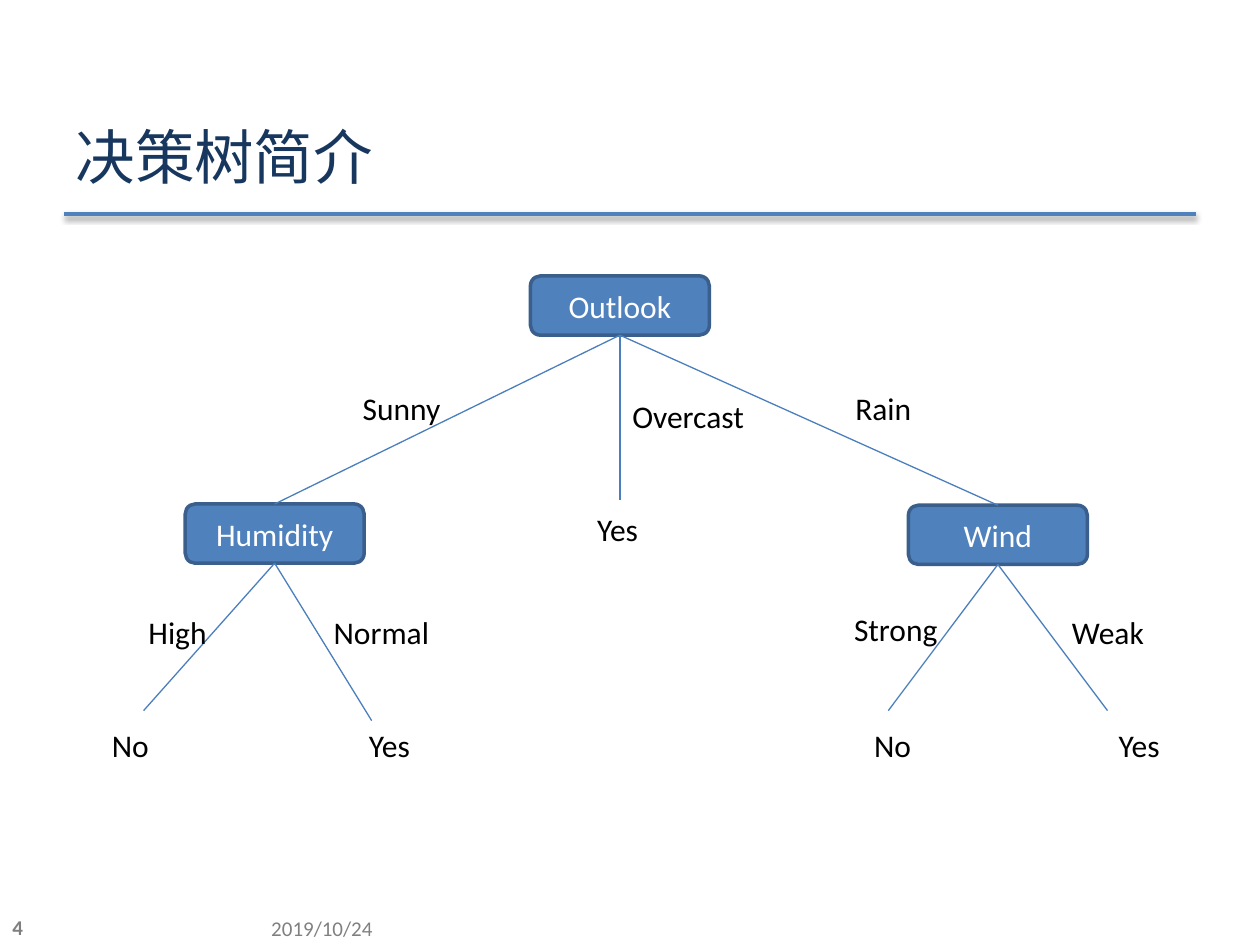
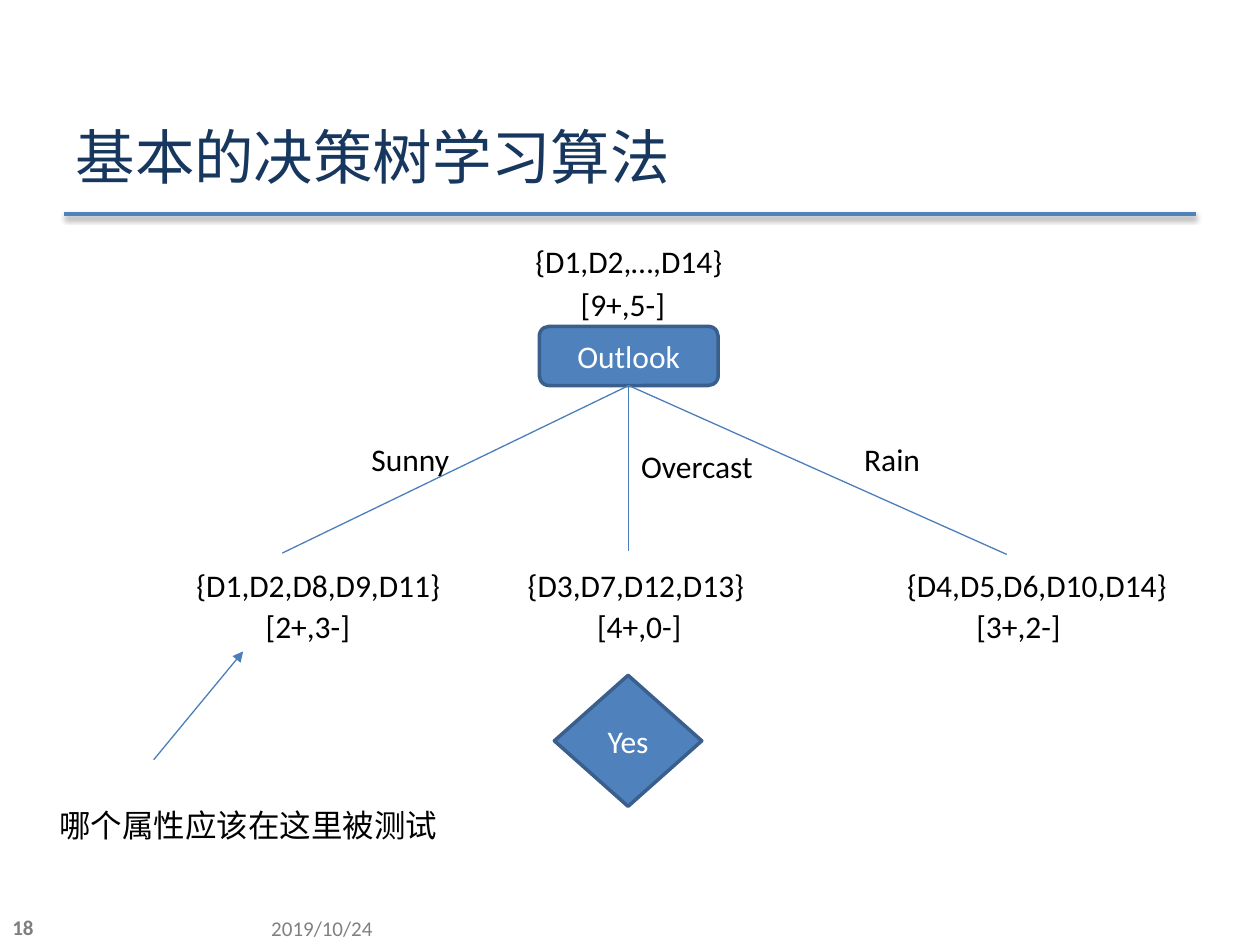
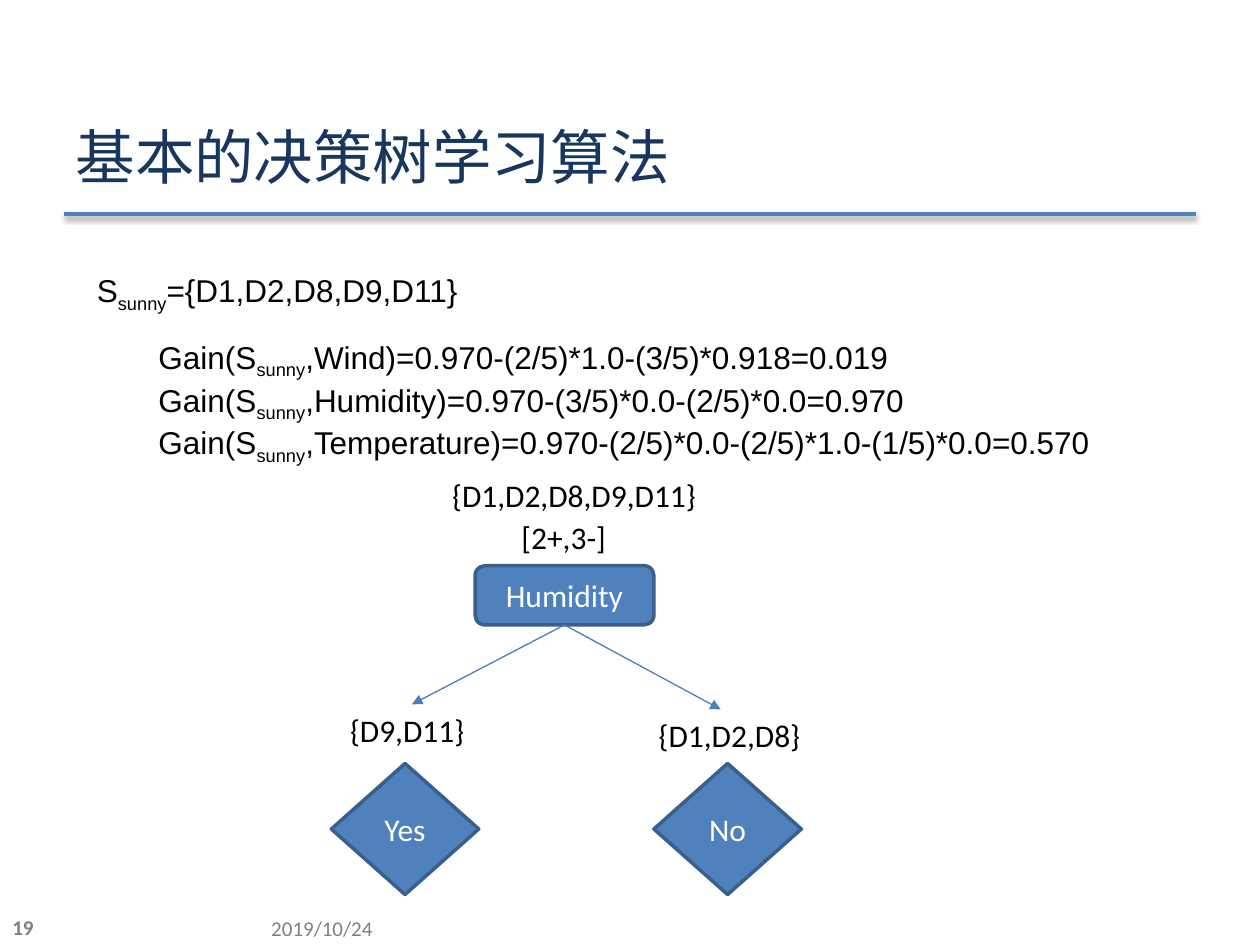
from dataclasses import dataclass

from pptx import Presentation
from pptx.dml.color import RGBColor
from pptx.enum.shapes import MSO_CONNECTOR, MSO_SHAPE
from pptx.enum.text import MSO_ANCHOR, MSO_AUTO_SIZE, PP_ALIGN
from pptx.oxml.ns import qn
from pptx.oxml.xmlchemy import OxmlElement
from pptx.shapes.autoshape import Shape
from pptx.shapes.connector import Connector
from pptx.slide import Slide
from pptx.text.text import TextFrame
from pptx.util import Inches, Pt

STRAIGHT = MSO_CONNECTOR.STRAIGHT
ROUNDED = MSO_SHAPE.ROUNDED_RECTANGLE
DIAMOND = MSO_SHAPE.DIAMOND
MIDDLE = MSO_ANCHOR.MIDDLE
LEFT, CENTER = PP_ALIGN.LEFT, PP_ALIGN.CENTER
GROW = MSO_AUTO_SIZE.SHAPE_TO_FIT_TEXT

BLUE = RGBColor(0x4F, 0x81, 0xBD)
NODE_BORDER = RGBColor(0x3A, 0x5F, 0x8C)
EDGE_BLUE = RGBColor(0x4B, 0x7E, 0xBC)
NAVY = RGBColor(0x17, 0x37, 0x5E)
DATE_GRAY = RGBColor(0x80, 0x80, 0x80)
NUMBER_GRAY = RGBColor(0x7F, 0x7F, 0x7F)
BLACK = RGBColor(0, 0, 0)
WHITE = RGBColor(0xFF, 0xFF, 0xFF)

TITLE_ONLY = 5
TOP, BOTTOM = 0, 2
NODE_SIZE = {ROUNDED: (1.42, 0.47), DIAMOND: (1.17, 1.04)}
Point = tuple[float, float]


@dataclass(frozen=True)
class Style:
    size: int = 18
    color: RGBColor = BLACK
    font: str = "Calibri"
    bold: bool = False


BODY = Style()
FORMULA = Style(font="Arial")
NODE_TEXT = Style(color=WHITE)
TITLE = Style(34, NAVY)
DATE = Style(12, DATE_GRAY)
NUMBER = Style(12, NUMBER_GRAY, bold=True)


@dataclass(frozen=True)
class Label:
    text: str
    left: float
    top: float
    width: float = 1.04
    wrap: bool = True


@dataclass(frozen=True)
class Node:
    text: str
    left: float
    top: float
    kind: MSO_SHAPE = ROUNDED


@dataclass(frozen=True)
class SampleSet:
    members: str
    counts: str
    left: float
    top: float
    width: float


def add_run(p, text: str, style: Style, subscript: bool = False) -> None:
    r = p.add_run()
    r.text = text
    r.font.name = style.font
    r.font.size = Pt(style.size)
    r.font.bold = style.bold
    r.font.color.rgb = style.color
    if subscript:
        r.font._element.set("baseline", "-25000")


def add_box(s: Slide, left: float, top: float, width: float, height: float) -> TextFrame:
    sp = s.shapes.add_textbox(Inches(left), Inches(top), Inches(width), Inches(height))
    tf = sp.text_frame
    tf.word_wrap = True
    return tf


def add_label(s: Slide, label: Label) -> None:
    tf = add_box(s, label.left, label.top, label.width, 0.4)
    tf.word_wrap = label.wrap
    tf.auto_size = GROW
    add_run(tf.paragraphs[0], label.text, BODY)


def add_sample_set(s: Slide, group: SampleSet) -> None:
    add_label(s, Label(group.members, group.left, group.top, group.width, False))
    add_label(s, Label(group.counts, group.left + 0.55, group.top + 0.33, 0.88, False))


def add_formulas(s: Slide, left: float, top: float, width: float, height: float,
                 formulas: list[tuple[str, str]]) -> None:
    tf = add_box(s, left, top, width, height)
    tf.auto_size = GROW
    for i, (before, after) in enumerate(formulas):
        p = tf.add_paragraph() if i else tf.paragraphs[0]
        add_run(p, before, FORMULA)
        add_run(p, "sunny", FORMULA, subscript=True)
        add_run(p, after, FORMULA)


def add_node(s: Slide, node: Node) -> Shape:
    width, height = NODE_SIZE[node.kind]
    sp = s.shapes.add_shape(node.kind, Inches(node.left), Inches(node.top),
                            Inches(width), Inches(height))
    sp.shadow.inherit = False
    sp.fill.solid()
    sp.fill.fore_color.rgb = BLUE
    sp.line.color.rgb = NODE_BORDER
    sp.line.width = Pt(2)
    tf = sp.text_frame
    tf.vertical_anchor = MIDDLE
    p = tf.paragraphs[0]
    p.alignment = CENTER
    add_run(p, node.text, NODE_TEXT)
    return sp


def add_line(s: Slide, start: Point, end: Point, color: RGBColor = EDGE_BLUE,
             width: float = 0.75, arrow: bool = False, shadow: bool = False) -> Connector:
    line = s.shapes.add_connector(STRAIGHT, Inches(start[0]), Inches(start[1]),
                                  Inches(end[0]), Inches(end[1]))
    line.line.color.rgb = color
    line.line.width = Pt(width)
    spPr = line.element.spPr
    if arrow:
        tail = OxmlElement("a:tailEnd")
        tail.set("type", "triangle")
        spPr.find(qn("a:ln")).append(tail)
    effects = OxmlElement("a:effectLst")
    spPr.append(effects)
    if shadow:
        outer = OxmlElement("a:outerShdw")
        outer.set("blurRad", str(Pt(3.1)))
        outer.set("dist", str(Pt(1.6)))
        outer.set("dir", "5400000")
        outer.set("rotWithShape", "0")
        black = OxmlElement("a:srgbClr")
        black.set("val", str(BLACK))
        alpha = OxmlElement("a:alpha")
        alpha.set("val", "38000")
        black.append(alpha)
        outer.append(black)
        effects.append(outer)
    return line


def add_branch(s: Slide, parent: Shape, end: Shape | Point, arrow: bool = False) -> None:
    target = end if isinstance(end, tuple) else (0, 0)
    line = add_line(s, (0, 0), target, arrow=arrow)
    line.begin_connect(parent, BOTTOM)
    if not isinstance(end, tuple):
        line.end_connect(end, TOP)


def add_outlook_tree(s: Slide, left: float, top: float, ends: list[Shape | Point]) -> None:
    outlook = add_node(s, Node("Outlook", left, top))
    for end in ends:
        add_branch(s, outlook, end)
    add_label(s, Label("Sunny", left - 1.43, top + 0.85))
    add_label(s, Label("Overcast", left + 0.71, top + 0.91, 1.26))
    add_label(s, Label("Rain", left + 2.48, top + 0.85))


def add_slide(prs: Presentation, title: str, number: int) -> Slide:
    s = prs.slides.add_slide(prs.slide_layouts[TITLE_ONLY])
    add_line(s, (0.51, 1.7), (9.49, 1.7), BLUE, 2, shadow=True)
    sp = s.shapes.title
    sp.left, sp.top = Inches(0.5), Inches(0.61)
    sp.width, sp.height = Inches(9), Inches(1.25)
    tf = sp.text_frame
    tf.vertical_anchor = MIDDLE
    tf.paragraphs[0].alignment = LEFT
    add_run(tf.paragraphs[0], title, TITLE)
    for text, left, width, height, align, style in (
        ("2019/10/24", 0.5, 4.11, 0.29, CENTER, DATE),
        (str(number), 0, 0.67, 0.28, LEFT, NUMBER),
    ):
        tf = add_box(s, left, 7.22, width, height)
        tf.vertical_anchor = MIDDLE
        tf.paragraphs[0].alignment = align
        add_run(tf.paragraphs[0], text, style)
    return s


def build_intro(prs: Presentation) -> None:
    s = add_slide(prs, "决策树简介", 4)
    humidity = add_node(s, Node("Humidity", 1.47, 4))
    wind = add_node(s, Node("Wind", 7.21, 4.01))
    add_outlook_tree(s, 4.21, 2.19, [humidity, wind, (4.92, 3.97)])
    for parent, end in (
        (humidity, (1.14, 5.64)), (humidity, (2.95, 5.72)),
        (wind, (7.05, 5.64)), (wind, (8.79, 5.64)),
    ):
        add_branch(s, parent, end)
    for text, left in (("No", 0.79), ("Yes", 2.83), ("No", 6.84), ("Yes", 8.78)):
        add_label(s, Label(text, left, 5.71))
    for label in (
        Label("Yes", 4.64, 4),
        Label("High", 1.08, 4.82),
        Label("Normal", 2.55, 4.82),
        Label("Strong", 6.68, 4.79),
        Label("Weak", 8.41, 4.82),
    ):
        add_label(s, label)


def build_first_split(prs: Presentation) -> None:
    s = add_slide(prs, "基本的决策树学习算法", 18)
    add_outlook_tree(s, 4.28, 2.59, [(2.24, 4.39), (7.99, 4.4), (4.99, 4.37)])
    add_label(s, Label("{D1,D2,…,D14}", 4.15, 1.87, 2.32))
    add_label(s, Label("[9+,5-]", 4.51, 2.21, 1.59))
    for group in (
        SampleSet("{D1,D2,D8,D9,D11}", "[2+,3-]", 1.46, 4.44, 2.22),
        SampleSet("{D3,D7,D12,D13}", "[4+,0-]", 4.09, 4.44, 2),
        SampleSet("{D4,D5,D6,D10,D14}", "[3+,2-]", 7.1, 4.44, 2.29),
    ):
        add_sample_set(s, group)
    add_node(s, Node("Yes", 4.4, 5.36, DIAMOND))
    add_line(s, (1.22, 6.03), (1.93, 5.17), arrow=True)
    add_label(s, Label("哪个属性应该在这里被测试", 0.37, 6.35, 3.38))


def build_sunny_split(prs: Presentation) -> None:
    s = add_slide(prs, "基本的决策树学习算法", 19)
    add_formulas(s, 1.16, 2.63, 8.34, 1.01, [
        ("Gain(S", ",Wind)=0.970-(2/5)*1.0-(3/5)*0.918=0.019"),
        ("Gain(S", ",Humidity)=0.970-(3/5)*0.0-(2/5)*0.0=0.970"),
        ("Gain(S", ",Temperature)=0.970-(2/5)*0.0-(2/5)*1.0-(1/5)*0.0=0.570"),
    ])
    add_formulas(s, 0.67, 2.1, 3.62, 0.4, [("S", "={D1,D2,D8,D9,D11}")])
    add_sample_set(s, SampleSet("{D1,D2,D8,D9,D11}", "[2+,3-]", 3.49, 3.73, 2.22))
    humidity = add_node(s, Node("Humidity", 3.77, 4.49))
    for end in ((3.27, 5.59), (5.72, 5.63)):
        add_branch(s, humidity, end, arrow=True)
    add_label(s, Label("{D9,D11}", 2.68, 5.59, 1.12, False))
    add_label(s, Label("{D1,D2,D8}", 5.13, 5.63, 1.34, False))
    add_node(s, Node("Yes", 2.63, 6.06, DIAMOND))
    add_node(s, Node("No", 5.19, 6.06, DIAMOND))


def main() -> None:
    prs = Presentation()
    prs.slide_width, prs.slide_height = Inches(10), Inches(7.5)
    build_intro(prs)
    build_first_split(prs)
    build_sunny_split(prs)
    prs.save("out.pptx")


if __name__ == "__main__":
    main()
